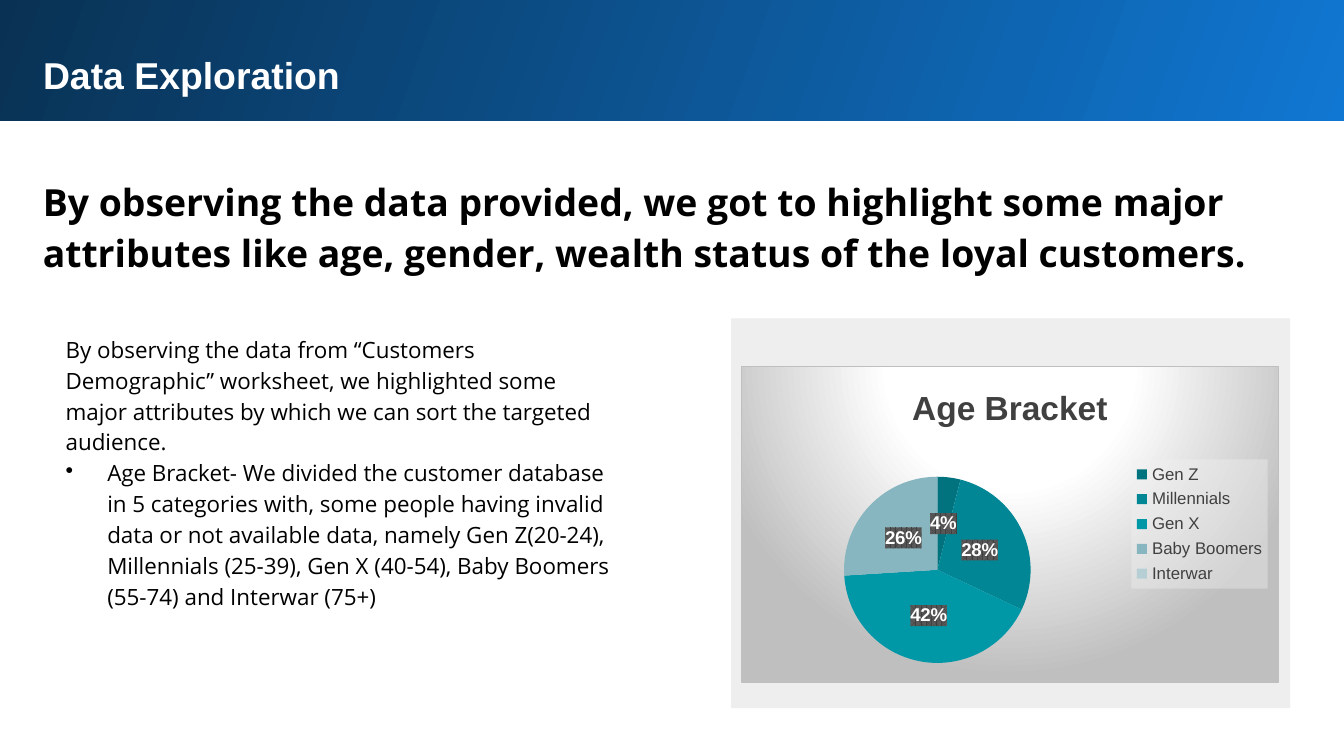
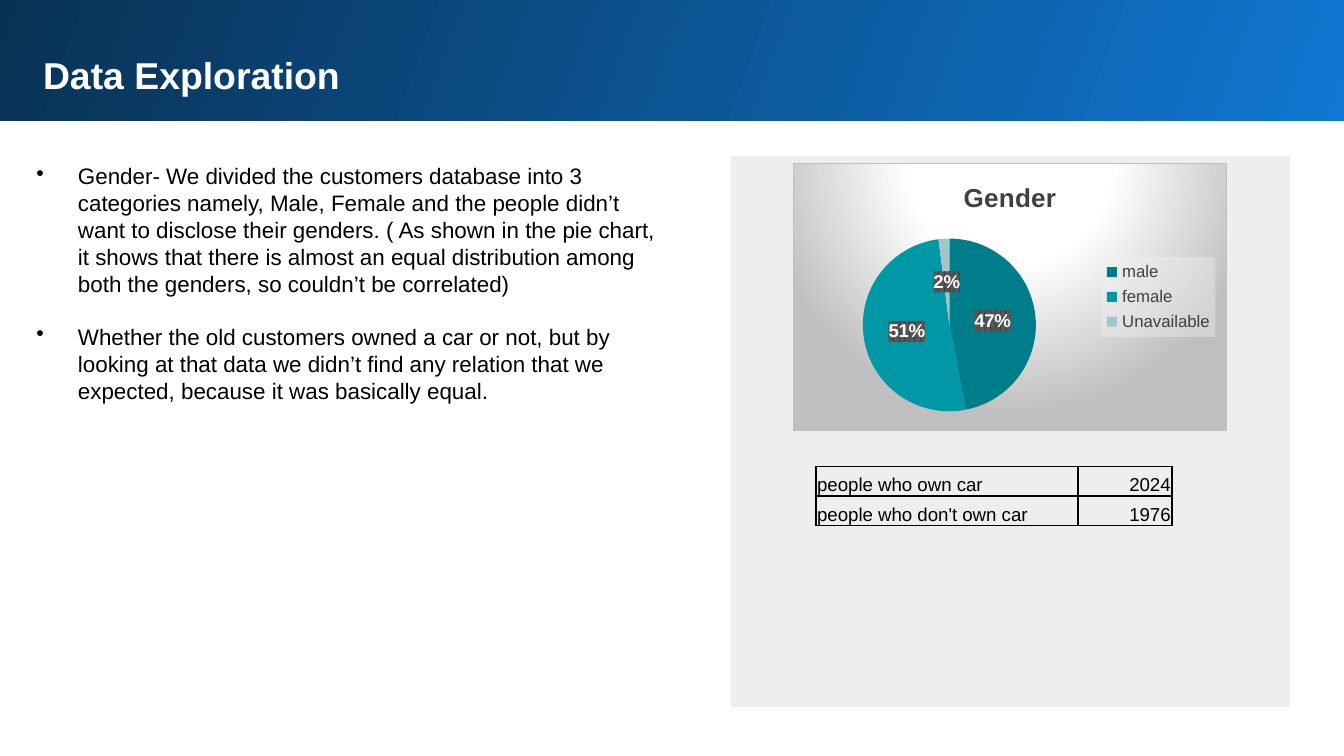
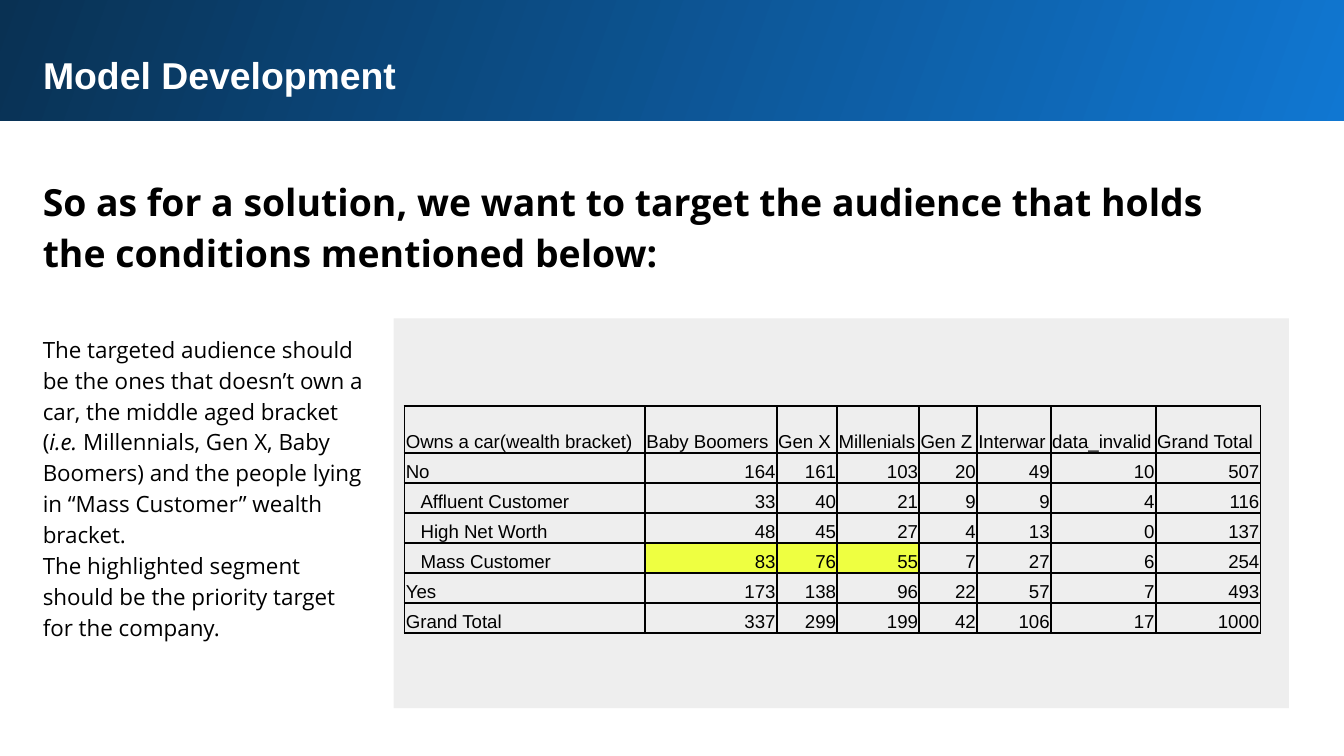
from lxml.etree import SubElement
from pptx import Presentation
from pptx.chart.data import CategoryChartData
from pptx.dml.color import RGBColor
from pptx.enum.chart import XL_CHART_TYPE, XL_LABEL_POSITION, XL_LEGEND_POSITION
from pptx.enum.shapes import MSO_SHAPE
from pptx.enum.text import MSO_ANCHOR, MSO_AUTO_SIZE, PP_ALIGN
from pptx.oxml import parse_xml
from pptx.oxml.ns import nsdecls, qn
from pptx.util import Inches, Pt

WIDE, HIGH = Inches(10), Inches(5.625)
WHITE, BLACK, GREY, PANEL, MARK = "FFFFFF", "000000", "404040", "EEEEEE", "EEFF41"
BLUE, NAVY = "1077D2", "093153"
SANS, OPEN = "Arial", "Open Sans"
MID = 42.13

LABEL = ('<a:pattFill prst="pct75"><a:fgClr><a:srgbClr val="404040"/></a:fgClr>'
         '<a:bgClr><a:srgbClr val="595959"/></a:bgClr></a:pattFill>')
KEY = '<a:solidFill><a:srgbClr val="F2F2F2"><a:alpha val="39000"/></a:srgbClr></a:solidFill>'
GLOW = ('<a:gradFill><a:gsLst><a:gs pos="0"><a:srgbClr val="FFFFFF"/></a:gs>'
        '<a:gs pos="39000"><a:srgbClr val="FFFFFF"/></a:gs>'
        '<a:gs pos="100000"><a:srgbClr val="BFBFBF"/></a:gs></a:gsLst>'
        '<a:path path="circle"><a:fillToRect l="50000" t="-80000" r="50000" b="180000"/>'
        '</a:path></a:gradFill>'
        '<a:ln w="9525"><a:solidFill><a:srgbClr val="BFBFBF"/></a:solidFill></a:ln>')


def paint(text):
    """Turn a hex string into a colour."""
    return RGBColor.from_string(text)


def across(share):
    """Percent of the slide's width."""
    return round(WIDE * share / 100)


def down(share):
    """Percent of the slide's height."""
    return round(HIGH * share / 100)


def area(left, top, width, height):
    """Place and size from percent shares."""
    return across(left), down(top), across(width), down(height)


def style(font, size, color=BLACK, bold=False, name=SANS):
    """Format one font."""
    font.name, font.size, font.bold = name, Pt(size), bold
    font.color.rgb = paint(color)


def frame(shape, inset=0.1):
    """Prepare a wrapping text frame with equal insets."""
    text = shape.text_frame
    text.word_wrap = True
    text.auto_size = MSO_AUTO_SIZE.SHAPE_TO_FIT_TEXT
    text.vertical_anchor = MSO_ANCHOR.TOP
    text.margin_left = text.margin_right = Inches(inset)
    text.margin_top = text.margin_bottom = Inches(inset)
    return text


def block(slide, color, *place):
    """Add a plain rectangle."""
    shape = slide.shapes.add_shape(MSO_SHAPE.RECTANGLE, *area(*place))
    shape.shadow.inherit = False
    shape.line.fill.background()
    shape.fill.solid()
    shape.fill.fore_color.rgb = paint(color)
    return shape


def start(deck, head):
    """Add a slide with its gradient band and title."""
    slide = deck.slides.add_slide(deck.slide_layouts[5])
    fill = block(slide, NAVY, -0.2, -0.36, 100.5, 16.36).fill
    fill.gradient()
    fill.gradient_angle = 160
    for stop, color, spot in zip(fill.gradient_stops, (BLUE, NAVY), (0, 1)):
        stop.color.rgb, stop.position = paint(color), spot
    title = slide.shapes.title
    slide.shapes.element.append(title.element)
    title.left, title.top, title.width, title.height = area(2.2, 5.16, 93.7, 9.07)
    text = frame(title)
    text.text = head
    text.paragraphs[0].alignment = PP_ALIGN.LEFT
    style(text.paragraphs[0].runs[0].font, 20, WHITE, True)
    return slide


def write(slide, lines, place, size=12, bold=False, name=OPEN, inset=0.1, space=1.15, gap=0):
    """Add text; a leading • makes a bullet and *stars* make italics."""
    text = frame(slide.shapes.add_textbox(*area(*place)), inset)
    for spot, line in enumerate(lines):
        para = text.add_paragraph() if spot else text.paragraphs[0]
        para.line_spacing = space
        para.space_before = Pt(gap if spot else 0)
        if line.startswith("•"):
            props = para._p.get_or_add_pPr()
            props.set("marL", str(Inches(0.31)))
            props.set("indent", str(-Inches(0.31)))
            SubElement(props, qn("a:buChar")).set("char", "•")
        for turn, part in enumerate(line.removeprefix("• ").split("*")):
            run = para.add_run()
            run.text = part
            style(run.font, size, BLACK, bold, name)
            run.font.italic = turn % 2 == 1


def lead(slide, line):
    """Add the large statement under the band."""
    write(slide, [line], (2.2, 20.98, 93.7, 16.71), 20, True)


def coat(node, look):
    """Give a chart part its fill and line."""
    xml = f'<c:spPr {nsdecls("c", "a")}>{look}</c:spPr>'
    node.find(qn("c:txPr")).addprevious(parse_xml(xml))


def pie(slide, head, size, data, colors, place, plot):
    """Add a pie chart with percent labels and a legend."""
    feed = CategoryChartData(number_format="General")
    feed.categories = list(data)
    feed.add_series("Series 1", list(data.values()))
    chart = slide.shapes.add_chart(XL_CHART_TYPE.PIE, *area(*place), feed).chart
    style(chart.font, 10)
    coat(chart._chartSpace, GLOW)
    chart.has_title = True
    chart.chart_title.text_frame.text = head
    style(chart.chart_title.text_frame.paragraphs[0].runs[0].font, size, GREY, True)
    chart.has_legend = True
    chart.legend.position = XL_LEGEND_POSITION.RIGHT
    chart.legend.include_in_layout = False
    style(chart.legend.font, 9, GREY)
    coat(chart.legend._element, KEY)
    body = chart.plots[0]
    body.vary_by_categories = True
    for spot, color in enumerate(colors):
        fill = body.series[0].points[spot].format.fill
        fill.solid()
        fill.fore_color.rgb = paint(color)
    tags = body.series[0].data_labels
    tags.show_percentage, tags.show_value = True, False
    tags.number_format, tags.number_format_is_linked = "0%", False
    tags.position = XL_LABEL_POSITION.CENTER
    style(tags.font, 10, WHITE, True)
    coat(tags._element, LABEL)
    inner = chart._chartSpace.chart.plotArea
    for old in inner.findall(qn("c:layout")):
        inner.remove(old)
    sides = "".join(f'<c:{key} val="{val}"/>' for key, val in zip("xywh", plot))
    inner.insert(0, parse_xml(
        f'<c:layout {nsdecls("c")}><c:manualLayout><c:layoutTarget val="inner"/>'
        f'<c:xMode val="edge"/><c:yMode val="edge"/>{sides}</c:manualLayout></c:layout>'))


def edge(cell):
    """Draw thin black borders round a cell."""
    props = cell._tc.get_or_add_tcPr()
    for spot, side in enumerate("LRTB"):
        props.insert(spot, parse_xml(
            f'<a:ln{side} {nsdecls("a")} w="12700"><a:solidFill>'
            f'<a:srgbClr val="{BLACK}"/></a:solidFill></a:ln{side}>'))


def grid(slide, rows, left, top, cols, highs, deep=(), marks=()):
    """Add a bordered table; deep rows are indented and marks are lit."""
    place = area(left, top, sum(cols), sum(highs))
    table = slide.shapes.add_table(len(rows), len(cols), *place).table
    table.first_row = table.horz_banding = False
    for col, width in zip(table.columns, cols):
        col.width = across(width)
    for row, high in zip(table.rows, highs):
        row.height = down(high)
    for y, row in enumerate(rows):
        for x, value in enumerate(row):
            cell = table.cell(y, x)
            cell.vertical_anchor = MSO_ANCHOR.BOTTOM
            cell.margin_left = Inches(0.12 if x == 0 and y in deep else 0.01)
            cell.margin_right = cell.margin_top = Inches(0.01)
            cell.margin_bottom = 0
            para = cell.text_frame.paragraphs[0]
            para.text = str(value)
            para.alignment = PP_ALIGN.RIGHT if isinstance(value, int) else PP_ALIGN.LEFT
            style(para.runs[0].font, 10)
            if (y, x) in marks:
                cell.fill.solid()
                cell.fill.fore_color.rgb = paint(MARK)
            else:
                cell.fill.background()
            edge(cell)


def ages(deck):
    """Build the age bracket slide."""
    slide = start(deck, "Data Exploration")
    lead(slide, "By observing the data provided, we got to highlight some major attributes "
                "like age, gender, wealth status of the loyal customers.")
    write(slide, [
        "By observing the data from “Customers Demographic” worksheet, we highlighted some "
        "major attributes by which we can sort the targeted audience.",
        "• Age Bracket- We divided the customer database in 5 categories with, some people "
        "having invalid data or not available data, namely Gen Z(20-24), Millennials (25-39), "
        "Gen X (40-54), Baby Boomers (55-74) and Interwar (75+)",
    ], (3.9, MID, 42.6, 36.27))
    block(slide, PANEL, 54.4, MID, 41.6, 51.56)
    data = {"Gen Z": 4, "Millennials": 28, "Gen X": 42, "Baby Boomers": 26, "Interwar": 0}
    pie(slide, "Age Bracket", 18, data, ("00737F", "008694", "0097A7", "87B6C0", "B6CFD5"),
        (55.1, 48.36, 40.1, 41.96), (0.19, 0.35, 0.35, 0.59))


def gender(deck):
    """Build the gender and car slide."""
    slide = start(deck, "Data Exploration")
    block(slide, PANEL, 54.4, 20.62, 41.6, 72.89)
    write(slide, [
        "• Gender- We divided the customers database into 3 categories namely, Male, Female "
        "and the people didn’t want to disclose their genders. ( As shown in the pie chart, "
        "it shows that there is almost an equal distribution among both the genders, so "
        "couldn’t be correlated)",
        "• Whether the old customers owned a car or not, but by looking at that data we "
        "didn’t find any relation that we expected, because it was basically equal.",
    ], (2.2, 20.62, 47.8, 37.69), name=SANS, inset=0.05, space=1.0, gap=14)
    pie(slide, "Gender", 14, {"male": 47, "female": 51, "Unavailable": 2},
        ("007D8A", "0097A7", "A2C4CC"), (59, 21.51, 32.3, 35.56), (0.16, 0.28, 0.4, 0.65))
    grid(slide, [("people who own car", 2024), ("people who don't own car", 1976)],
         60.7, 61.69, (19.5, 7), [3.91] * 2)


def model(deck):
    """Build the target audience slide."""
    slide = start(deck, "Model Development")
    lead(slide, "So as for a solution, we want to target the audience that holds the "
                "conditions mentioned below:")
    write(slide, [
        "The targeted audience should be the ones that doesn’t own a car, the middle aged "
        "bracket (*i.e. *Millennials, Gen X, Baby Boomers) and the people lying in “Mass "
        "Customer” wealth bracket.",
        "The highlighted segment should be the priority target for the company.",
    ], (2.2, MID, 26.4, 40.36))
    block(slide, PANEL, 29.3, MID, 66.6, 51.56)
    rows = [
        ("Owns a car(wealth bracket)", "Baby Boomers", "Gen X", "Millenials", "Gen Z",
         "Interwar", "data_invalid", "Grand Total"),
        ("No", 164, 161, 103, 20, 49, 10, 507),
        ("Affluent Customer", 33, 40, 21, 9, 9, 4, 116),
        ("High Net Worth", 48, 45, 27, 4, 13, 0, 137),
        ("Mass Customer", 83, 76, 55, 7, 27, 6, 254),
        ("Yes", 173, 138, 96, 22, 57, 7, 493),
        ("Grand Total", 337, 299, 199, 42, 106, 17, 1000),
    ]
    grid(slide, rows, 30.1, 53.69, (17.9, 9.8, 4.5, 6.1, 4.3, 5.5, 7.8, 7.8),
         [6.22] + [3.97] * 6, deep=(2, 3, 4), marks=((4, 1), (4, 2), (4, 3)))


def main():
    """Build and save the deck."""
    deck = Presentation()
    deck.slide_width, deck.slide_height = WIDE, HIGH
    for build in (ages, gender, model):
        build(deck)
    deck.save("out.pptx")


if __name__ == "__main__":
    main()
